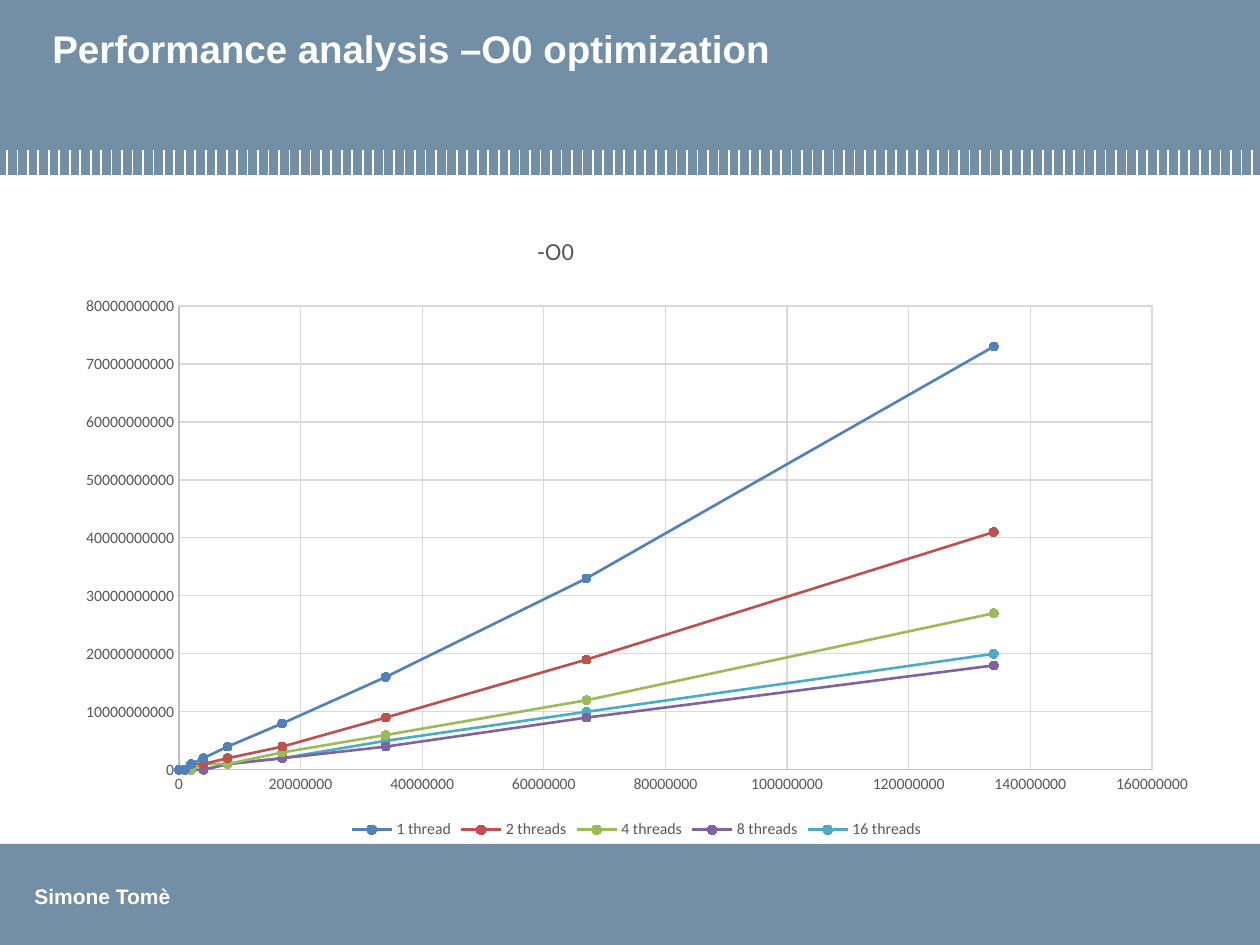
import lxml.etree
import pptx
import pptx.chart.data
import pptx.dml.color
import pptx.enum.chart
import pptx.enum.shapes
import pptx.enum.text
import pptx.oxml
import pptx.oxml.ns
import pptx.util

PX = 914400 / 126
COLORS = {
    "band": "728FA5", "white": "FFFFFF", "label": "595959",
    "axis": "BFBFBF", "grid": "D9D9D9",
    "1 thread": "4F81BD", "2 threads": "C0504D", "4 threads": "9BBB59",
    "8 threads": "8064A2", "16 threads": "4BACC6",
}
# Input sizes in millions, timings in billions
SIZES = [0, 1, 1, 2, 4, 8, 17, 34, 67, 134]
TIMINGS = {
    "1 thread": [0, 0, 0, 1, 2, 4, 8, 16, 33, 73],
    "2 threads": [0, 0, 0, 1, 1, 2, 4, 9, 19, 41],
    "4 threads": [0, 0, 0, 0, 1, 1, 3, 6, 12, 27],
    "8 threads": [0, 0, 0, 0, 0, 1, 2, 4, 9, 18],
    "16 threads": [0, 0, 0, 0, 0, 1, 2, 5, 10, 20],
}


def emu(*lengths):
    return [round(length * PX) for length in lengths]


def rgb(name):
    return pptx.dml.color.RGBColor.from_string(COLORS[name])


def style_font(font, color, **values):
    for name, value in values.items():
        setattr(font, name, value)
    font.color.rgb = rgb(color)


def style_line(line, color, points):
    line.color.rgb = rgb(color)
    line.width = pptx.util.Pt(points)


def add_band(page, box):
    band = page.shapes.add_shape(pptx.enum.shapes.MSO_SHAPE.RECTANGLE, *emu(*box))
    band.shadow.inherit = False
    band.fill.solid()
    band.fill.fore_color.rgb = rgb("band")
    band.line.fill.background()


def add_label(page, box, text, points, wrap):
    frame = page.shapes.add_textbox(*emu(*box)).text_frame
    frame.word_wrap = wrap
    if not wrap:
        frame.auto_size = pptx.enum.text.MSO_AUTO_SIZE.SHAPE_TO_FIT_TEXT
    span = frame.paragraphs[0].add_run()
    span.text = text
    style_font(span.font, "white", name="Arial", size=pptx.util.Pt(points), bold=True)


def add_stripes(page, box, count):
    """Spread vertical white lines evenly from the left to the right of the box."""
    left, top, width, height = box
    group = page.shapes.add_group_shape()
    for index in range(count):
        x = left + width * index / (count - 1)
        stripe = group.shapes.add_connector(
            pptx.enum.shapes.MSO_CONNECTOR.STRAIGHT, *emu(x, top, x, top + height))
        style_line(stripe.line, "white", 1)
        lxml.etree.SubElement(stripe._element.spPr, pptx.oxml.ns.qn("a:effectLst"))


def add_header(page, box):
    left, top, width, height = box
    add_band(page, box)
    add_stripes(page, (left + 7, top + height - 25, width - 15, 25), 120)
    add_label(page, (left + 40, top + 19, 1182, 116),
              "Performance analysis –O0 optimization", 22, True)


def add_footer(page, box):
    left, top, width, height = box
    add_band(page, box)
    add_label(page, (left + 22, top + 33, 163, 38), "Simone Tomè", 12, False)


def set_layout(parent, index, **fractions):
    """Pin a chart part at fractions of the chart area."""
    for old in parent.findall(pptx.oxml.ns.qn("c:layout")):
        parent.remove(old)
    target = '<c:layoutTarget val="inner"/>' if "w" in fractions else ""
    modes = "".join(f'<c:{key}Mode val="edge"/>' for key in "xy")
    values = "".join(f'<c:{key} val="{value:.4f}"/>' for key, value in fractions.items())
    parent.insert(index, pptx.oxml.parse_xml(
        f'<c:layout {pptx.oxml.ns.nsdecls("c")}><c:manualLayout>'
        f'{target}{modes}{values}</c:manualLayout></c:layout>'))


def style_axis(axis, maximum, unit):
    ticks = pptx.enum.chart.XL_TICK_MARK.NONE
    values = {"minimum_scale": 0, "maximum_scale": maximum, "major_unit": unit,
              "has_major_gridlines": True,
              "major_tick_mark": ticks, "minor_tick_mark": ticks}
    for name, value in values.items():
        setattr(axis, name, value)
    style_line(axis.format.line, "axis", 0.75)
    style_line(axis.major_gridlines.format.line, "grid", 0.75)
    style_font(axis.tick_labels.font, "label", name="Calibri", size=pptx.util.Pt(9))


def style_series(series):
    series.smooth = False
    style_line(series.format.line, series.name, 1.5)
    marker = series.marker
    marker.style = pptx.enum.chart.XL_MARKER_STYLE.CIRCLE
    marker.size = 5
    marker.format.fill.solid()
    marker.format.fill.fore_color.rgb = rgb(series.name)
    style_line(marker.format.line, series.name, 0.75)


def add_timing_chart(page, box):
    width, height = box[2:]
    data = pptx.chart.data.XyChartData()
    for name, timings in TIMINGS.items():
        series = data.add_series(name)
        for size, timing in zip(SIZES, timings):
            series.add_data_point(size * 10**6, timing * 10**9)
    chart = page.shapes.add_chart(
        pptx.enum.chart.XL_CHART_TYPE.XY_SCATTER_LINES, *emu(*box), data).chart
    chart.font.name = "Calibri"
    chart.font.size = pptx.util.Pt(10)

    chart.has_title = True
    title = chart.chart_title
    title.include_in_layout = False
    span = title.text_frame.paragraphs[0].add_run()
    span.text = "-O0"
    style_font(span.font, "label", name="Calibri", size=pptx.util.Pt(14), bold=False)
    set_layout(title._element, 1, x=470 / width, y=10 / height)
    set_layout(chart._chartSpace.chart.plotArea, 0,
               x=116 / width, y=86 / height, w=973 / width, h=464 / height)

    chart.has_legend = True
    chart.legend.position = pptx.enum.chart.XL_LEGEND_POSITION.BOTTOM
    chart.legend.include_in_layout = False
    style_font(chart.legend.font, "label", name="Calibri", size=pptx.util.Pt(9))

    style_axis(chart.category_axis, 160 * 10**6, 20 * 10**6)
    style_axis(chart.value_axis, 80 * 10**9, 10 * 10**9)
    chart.plots[0].vary_by_categories = False
    for series in chart.plots[0].series:
        style_series(series)


def main():
    deck = pptx.Presentation()
    deck.slide_width, deck.slide_height = emu(1260, 945)
    page = deck.slides.add_slide(deck.slide_layouts[6])
    add_header(page, (0, 0, 1260, 175))
    add_footer(page, (0, 844, 1260, 101))
    add_timing_chart(page, (63, 220, 1147, 624))
    deck.save("out.pptx")


if __name__ == "__main__":
    main()
